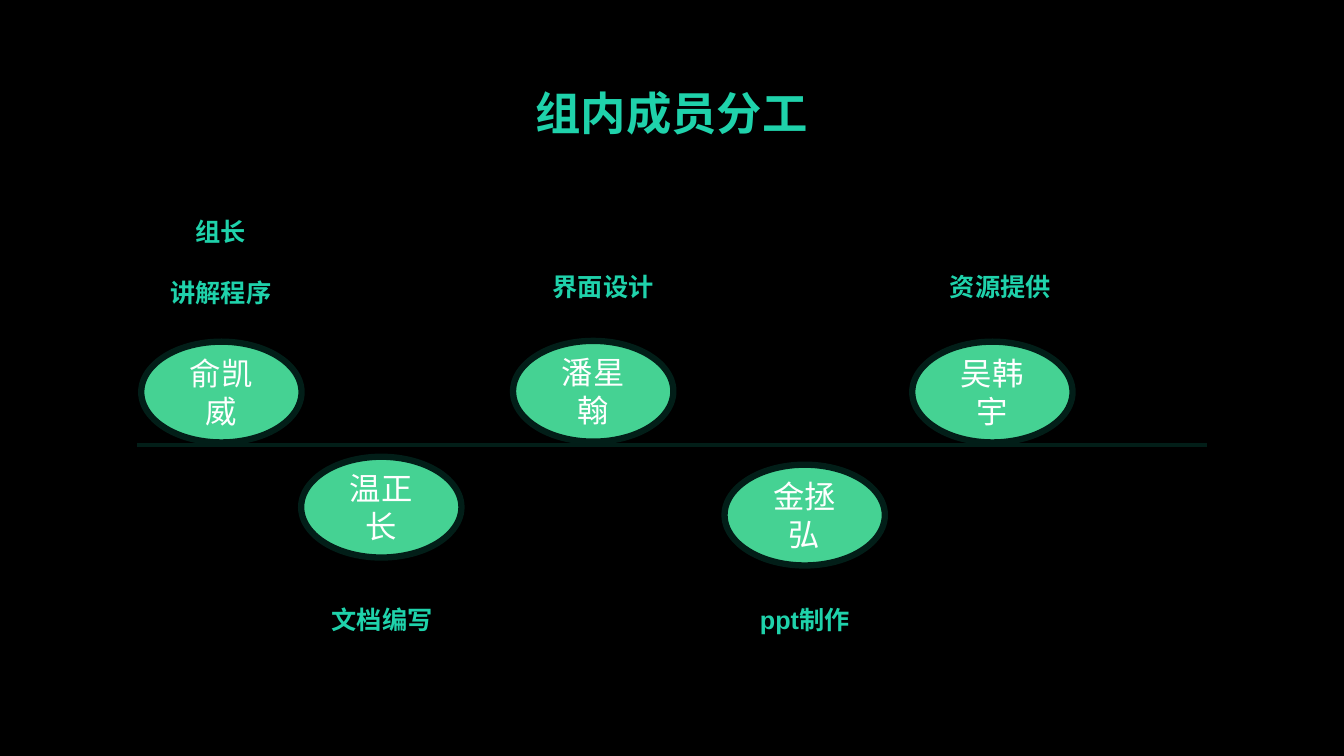
import pptx
import pptx.util
import pptx.dml.color
import pptx.enum.shapes
import pptx.enum.text

Cm = pptx.util.Cm
Pt = pptx.util.Pt
RGBColor = pptx.dml.color.RGBColor
Shapes = pptx.enum.shapes.MSO_SHAPE
Anchor = pptx.enum.text.MSO_ANCHOR

BLACK = RGBColor(0x00, 0x00, 0x00)
WHITE = RGBColor(0xFF, 0xFF, 0xFF)
TEAL = RGBColor(0x1F, 0xD2, 0xAB)
GREEN = RGBColor(0x45, 0xD2, 0x93)
DARK = RGBColor(0x02, 0x1E, 0x18)

TITLE = "组内成员分工"
TITLE_BOX = (7.59, 1.93, 18.67, 1.8)
TIMELINE_BOX = (3.43, 11.15, 27, 0.13)
OVAL_SIZE = (4.04, 2.54)
LABEL_WIDTH = 8.61

MEMBERS = [
    {"name": "俞凯威", "oval": (5.58, 8.61), "tasks": ["组长", "讲解程序"], "label": (5.57, 5.33, 2.16)},
    {"name": "温正长", "oval": (9.61, 11.51), "tasks": ["文档编写"], "label": (9.63, 15.11, 2.49)},
    {"name": "潘星翰", "oval": (14.95, 8.59), "tasks": ["界面设计"], "label": (15.2, 6.71, 1.73)},
    {"name": "金拯弘", "oval": (20.28, 11.71), "tasks": ["ppt制作"], "label": (20.28, 15.11, 2.49)},
    {"name": "吴韩宇", "oval": (25.01, 8.61), "tasks": ["资源提供"], "label": (25.21, 6.71, 1.45)},
]

TITLE_FONT = {"name": "Arial", "size": Pt(32.4), "bold": True}
TASK_FONT = {"name": "Arial", "size": Pt(18), "bold": True}
NAME_FONT = {"name": "Arial", "size": Pt(22.4), "bold": False}

presentation = pptx.Presentation()
presentation.slide_width = Cm(33.87)
presentation.slide_height = Cm(19.05)
slide = presentation.slides.add_slide(presentation.slide_layouts[6])
slide.background.fill.solid()
slide.background.fill.fore_color.rgb = BLACK


def write(shape, lines, font_format, color, anchor):
    frame = shape.text_frame
    frame.word_wrap = True
    frame.vertical_anchor = anchor
    for index, line in enumerate(lines):
        paragraph = frame.add_paragraph() if index else frame.paragraphs[0]
        paragraph.alignment = pptx.enum.text.PP_ALIGN.CENTER
        if index:
            paragraph.space_before = Pt(22)
        run = paragraph.add_run()
        run.text = line
        for attribute, value in font_format.items():
            setattr(run.font, attribute, value)
        run.font.color.rgb = color


def add_filled(kind, box, fill, line, line_width):
    shape = slide.shapes.add_shape(kind, *map(Cm, box))
    shape.shadow.inherit = False
    shape.fill.solid()
    shape.fill.fore_color.rgb = fill
    shape.line.color.rgb = line
    shape.line.width = Pt(line_width)
    return shape


def add_text(box, lines, font_format, anchor):
    write(slide.shapes.add_textbox(*map(Cm, box)), lines, font_format, TEAL, anchor)


add_filled(Shapes.RECTANGLE, TIMELINE_BOX, DARK, BLACK, 1)
add_text(TITLE_BOX, [TITLE], TITLE_FONT, Anchor.MIDDLE)

for member in MEMBERS:
    center, top, height = member["label"]
    label_box = (center - LABEL_WIDTH / 2, top, LABEL_WIDTH, height)
    add_text(label_box, member["tasks"], TASK_FONT, Anchor.TOP)

    center, top = member["oval"]
    oval_box = (center - OVAL_SIZE[0] / 2, top, *OVAL_SIZE)
    oval = add_filled(Shapes.OVAL, oval_box, GREEN, DARK, 4.5)
    write(oval, [member["name"]], NAME_FONT, WHITE, Anchor.MIDDLE)

presentation.save("out.pptx")
